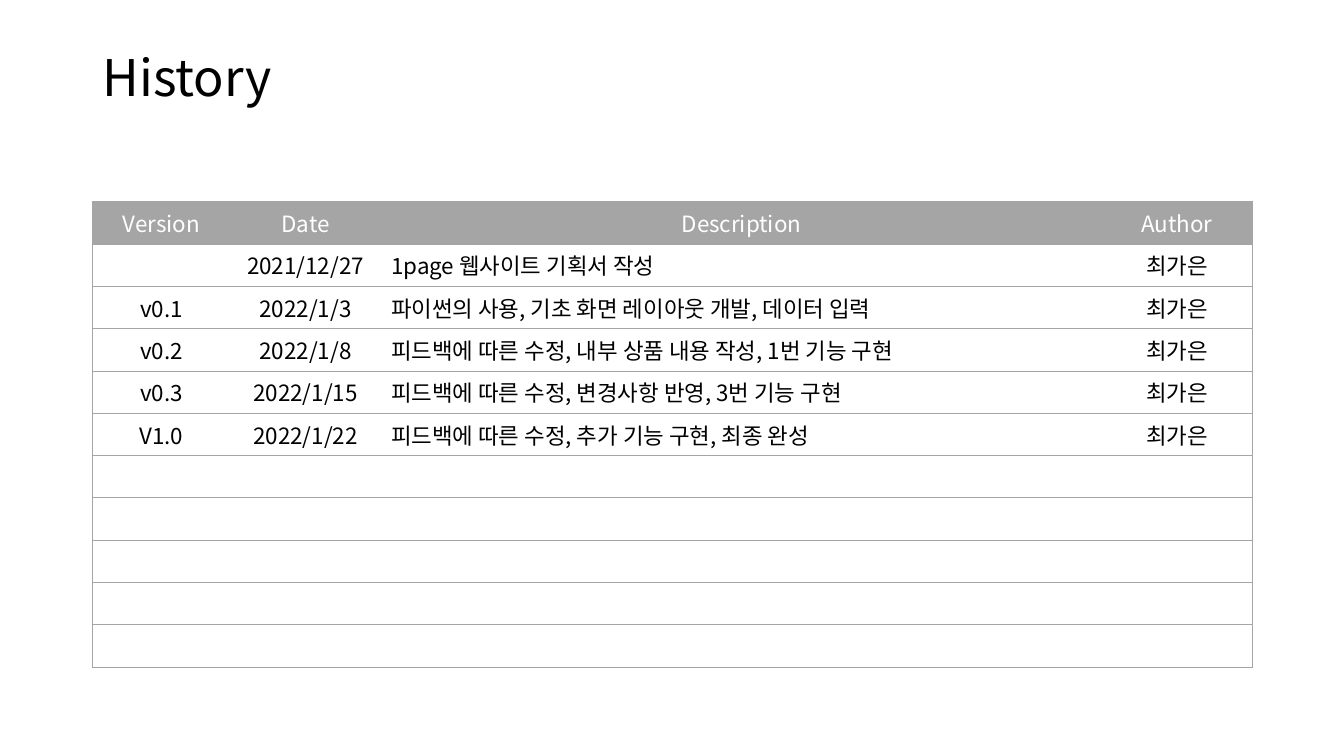
from lxml.etree import SubElement
from pptx import Presentation
from pptx.dml.color import RGBColor
from pptx.enum.text import MSO_ANCHOR, PP_ALIGN
from pptx.oxml.ns import qn
from pptx.util import Inches, Pt

BLACK = RGBColor(0x00, 0x00, 0x00)
WHITE = RGBColor(0xFF, 0xFF, 0xFF)
GRAY = RGBColor(0xA5, 0xA5, 0xA5)
FONT = "Noto Sans CJK KR"

AUTHOR = "최가은"
HEADINGS = ["Version", "Date", "Description", "Author"]
ENTRIES = [
    ["", "2021/12/27", "1page 웹사이트 기획서 작성", AUTHOR],
    ["v0.1", "2022/1/3", "파이썬의 사용, 기초 화면 레이아웃 개발, 데이터 입력", AUTHOR],
    ["v0.2", "2022/1/8", "피드백에 따른 수정, 내부 상품 내용 작성, 1번 기능 구현", AUTHOR],
    ["v0.3", "2022/1/15", "피드백에 따른 수정, 변경사항 반영, 3번 기능 구현", AUTHOR],
    ["V1.0", "2022/1/22", "피드백에 따른 수정, 추가 기능 구현, 최종 완성", AUTHOR],
]
EMPTY_ROWS = 5
COLUMN_WIDTHS = [1.36, 1.5, 7.15, 1.49]
ROW_HEIGHT = 0.42
DESCRIPTION = HEADINGS.index("Description")


def write(frame, text, size=16, color=BLACK, align=PP_ALIGN.LEFT, spacing=1.0):
    """Put one formatted paragraph into a text frame."""
    para = frame.paragraphs[0]
    para.alignment = align
    para.line_spacing = spacing
    if not text:
        # An empty cell still needs its text size to keep the row height
        end = SubElement(para._p, qn("a:endParaRPr"), sz=str(size * 100))
        SubElement(end, qn("a:latin"), typeface=FONT)
        return
    span = para.add_run()
    span.text = text
    span.font.name = FONT
    span.font.size = Pt(size)
    span.font.color.rgb = color
    SubElement(span.font._element, qn("a:ea"), typeface=FONT)


class Page:
    """The current slide and its style."""

    def __init__(self, deck):
        self.slide = deck.slides.add_slide(deck.slide_layouts[6])
        self.line_color = GRAY
        self.line_width = Pt(0.5)

    def title(self, text, left, top, width, height):
        box = self.slide.shapes.add_textbox(
            Inches(left), Inches(top), Inches(width), Inches(height))
        frame = box.text_frame
        frame.word_wrap = True
        frame.vertical_anchor = MSO_ANCHOR.MIDDLE
        write(frame, text, size=36, spacing=0.9)

    def borders(self, cell, shown):
        properties = cell._tc.get_or_add_tcPr()
        for side in "LRTB":
            line = SubElement(properties, qn(f"a:ln{side}"), w=str(self.line_width))
            if side in shown:
                fill = SubElement(line, qn("a:solidFill"))
                SubElement(fill, qn("a:srgbClr"), val=str(self.line_color))
            else:
                SubElement(line, qn("a:noFill"))

    def table(self, rows, left, top, widths, row_height):
        table = self.slide.shapes.add_table(
            len(rows), len(widths), Inches(left), Inches(top),
            Inches(sum(widths)), Inches(row_height * len(rows))).table
        for column, width in zip(table.columns, widths):
            column.width = Inches(width)
        last = len(widths) - 1
        for r, values in enumerate(rows):
            table.rows[r].height = Inches(row_height)
            for c, text in enumerate(values):
                cell = table.cell(r, c)
                heading = r == 0
                # Horizontal rules everywhere, vertical ones only outside
                self.borders(cell, "TB" + "L" * (c == 0) + "R" * (c == last))
                cell.fill.solid()
                cell.fill.fore_color.rgb = GRAY if heading else WHITE
                cell.vertical_anchor = MSO_ANCHOR.MIDDLE
                left_aligned = c == DESCRIPTION and not heading
                write(cell.text_frame, text,
                      color=WHITE if heading else BLACK,
                      align=PP_ALIGN.LEFT if left_aligned else PP_ALIGN.CENTER)


deck = Presentation()
deck.slide_width = Inches(13.33)
deck.slide_height = Inches(7.5)
page = Page(deck)

# Title
page.title("History", 0.92, 0.4, 11.5, 0.8)

# Version history
blank_rows = [[""] * len(HEADINGS)] * EMPTY_ROWS
page.table([HEADINGS] + ENTRIES + blank_rows, 0.92, 2, COLUMN_WIDTHS, ROW_HEIGHT)

deck.save("out.pptx")
